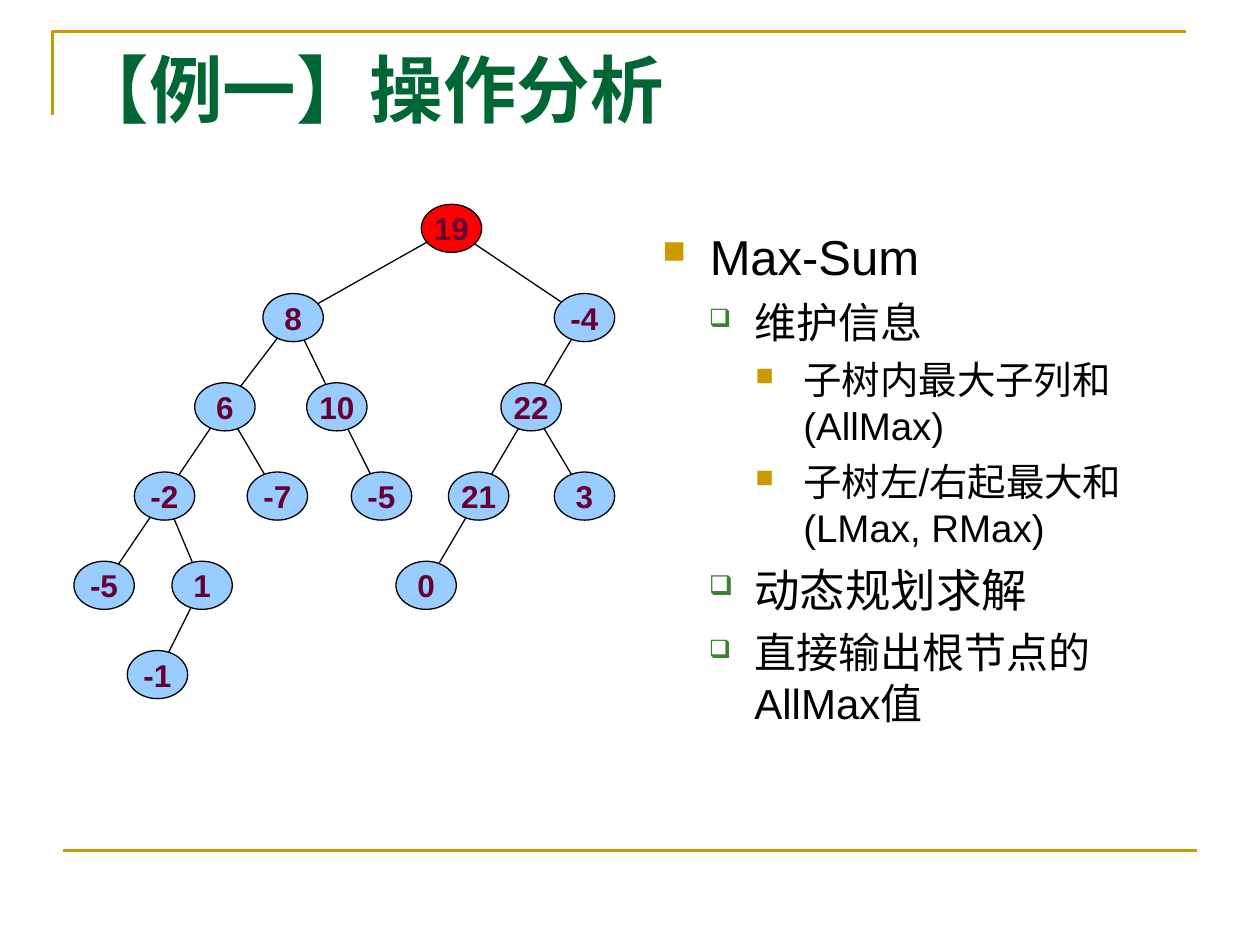
import pptx
import pptx.util
import pptx.dml.color
import pptx.enum.shapes
import pptx.enum.text
import pptx.oxml
import pptx.oxml.ns
import lxml.etree

Pt = pptx.util.Pt
Kind = pptx.enum.shapes.MSO_SHAPE
Align = pptx.enum.text.PP_ALIGN
Anchor = pptx.enum.text.MSO_ANCHOR
qn = pptx.oxml.ns.qn

# Content
TITLE = "【例一】操作分析"
# level, text size, space before, text
POINTS = [
    (0, 28, 7, "Max-Sum"),
    (1, 24, 6, "维护信息"),
    (2, 22, 5.5, "子树内最大子列和(AllMax)"),
    (2, 22, 5.5, "子树左/右起最大和(LMax, RMax)"),
    (1, 26, 6.5, "动态规划求解"),
    (1, 24, 6, "直接输出根节点的AllMax值"),
]
# left margin, hanging indent, bullet, colour, size in percent
LEVELS = [
    (27, 27, "■", "CC9900", 65),
    (52.5, 26, "❑", "3B812F", 60),
    (80.5, 27.5, "■", "CC9900", 65),
]
# label, centre x, depth, index of parent
NODES = [
    ("19", 258, 0, None),
    ("8", 167.5, 1, 0),
    ("-4", 334, 1, 0),
    ("6", 128.5, 2, 1),
    ("10", 192.5, 2, 1),
    ("22", 303.5, 2, 2),
    ("-2", 94, 3, 3),
    ("-7", 158.5, 3, 3),
    ("-5", 218, 3, 4),
    ("21", 273.5, 3, 5),
    ("3", 334, 3, 5),
    ("-5", 59.5, 4, 6),
    ("1", 115.5, 4, 6),
    ("0", 243.5, 4, 9),
    ("-1", 90, 5, 12),
]
TOP, STEP = 130.5, 51
WIDE, HIGH = 34.5, 27.5
GOLD, BLACK = "CC9900", "000000"


def rgb(code):
    return pptx.dml.color.RGBColor.from_string(code)


def style(par, size, face, color, bold=False):
    for run in par.runs:
        run.font.size = Pt(size)
        run.font.name = face
        run.font.bold = bold
        run.font.color.rgb = rgb(color)


def pen(part, color, width):
    part.line.color.rgb = rgb(color)
    part.line.width = Pt(width)


def link(shapes, start, end, color, width):
    line = shapes.add_connector(
        pptx.enum.shapes.MSO_CONNECTOR.STRAIGHT,
        *(Pt(v) for v in (*start, *end)))
    pen(line, color, width)
    lxml.etree.SubElement(line._element.spPr, qn("a:effectLst"))


def bullet(par, level):
    left, hang, char, color, size = LEVELS[level]
    props = par._p.get_or_add_pPr()
    props.set("marL", str(Pt(left)))
    props.set("indent", str(-Pt(hang)))
    tint = lxml.etree.SubElement(props, qn("a:buClr"))
    lxml.etree.SubElement(tint, qn("a:srgbClr"), val=color)
    lxml.etree.SubElement(props, qn("a:buSzPct"), val=str(size * 1000))
    lxml.etree.SubElement(props, qn("a:buChar"), char=char)


deck = pptx.Presentation()
deck.slide_width, deck.slide_height = Pt(720), Pt(540)
slide = deck.slides.add_slide(deck.slide_layouts[5])
shapes = slide.shapes

# Frame lines
path = shapes.build_freeform(Pt(30), Pt(66), scale=1.0)
path.add_line_segments(
    [(Pt(30), Pt(18)), (Pt(678), Pt(18))], close=False)
frame = path.convert_to_shape()
frame.shadow.inherit = False
frame.fill.background()
pen(frame, GOLD, 1.5)
link(shapes, (36, 486), (684, 486), GOLD, 1.5)

# Title
title = shapes.title
title.left, title.top = Pt(36), Pt(21.6)
title.width, title.height = Pt(648), Pt(90)
head = title.text_frame
head.text = TITLE
head.auto_size = pptx.enum.text.MSO_AUTO_SIZE.NONE
head.vertical_anchor = Anchor.TOP
head.paragraphs[0].alignment = Align.LEFT
style(head.paragraphs[0], 42, "Times New Roman", "006633", True)

# Bullet list
box = shapes.add_textbox(Pt(371.5), Pt(126), Pt(312.5), Pt(356.5))
body = box.text_frame
body.word_wrap = True
body.text = "\n".join(text for *_, text in POINTS)
for par, (level, size, gap, _) in zip(body.paragraphs, POINTS):
    par.level = level
    par.space_before = Pt(gap)
    bullet(par, level)
    style(par, size, "Arial", BLACK)

# Tree: edges first, nodes on top
tree = shapes.add_group_shape().shapes
spots = [(x, TOP + STEP * depth) for _, x, depth, _ in NODES]
for spot, (*_, parent) in zip(spots, NODES):
    if parent is not None:
        link(tree, spots[parent], spot, BLACK, 0.74)

for (x, y), (label, _, depth, _) in zip(spots, NODES):
    node = tree.add_shape(Kind.OVAL, Pt(x - WIDE / 2), Pt(y - HIGH / 2),
                          Pt(WIDE), Pt(HIGH))
    node.shadow.inherit = False
    node.fill.solid()
    node.fill.fore_color.rgb = rgb("99CCFF" if depth else "FF0000")
    pen(node, BLACK, 0.74)
    frame = node.text_frame
    frame.word_wrap = False
    frame.vertical_anchor = Anchor.MIDDLE
    frame.text = label
    frame.paragraphs[0].alignment = Align.CENTER
    style(frame.paragraphs[0], 18, "Arial", "660033", True)

deck.save("out.pptx")
